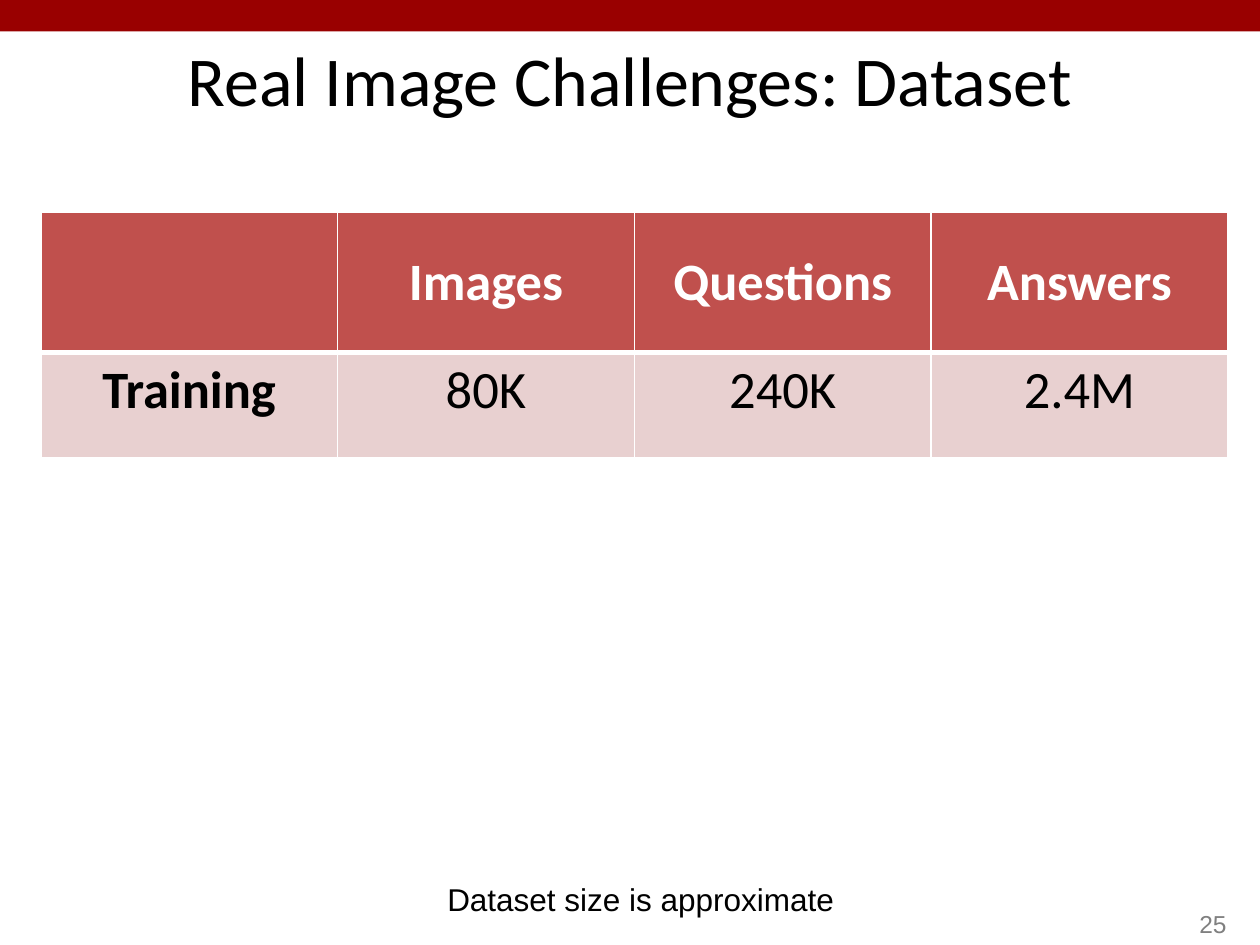
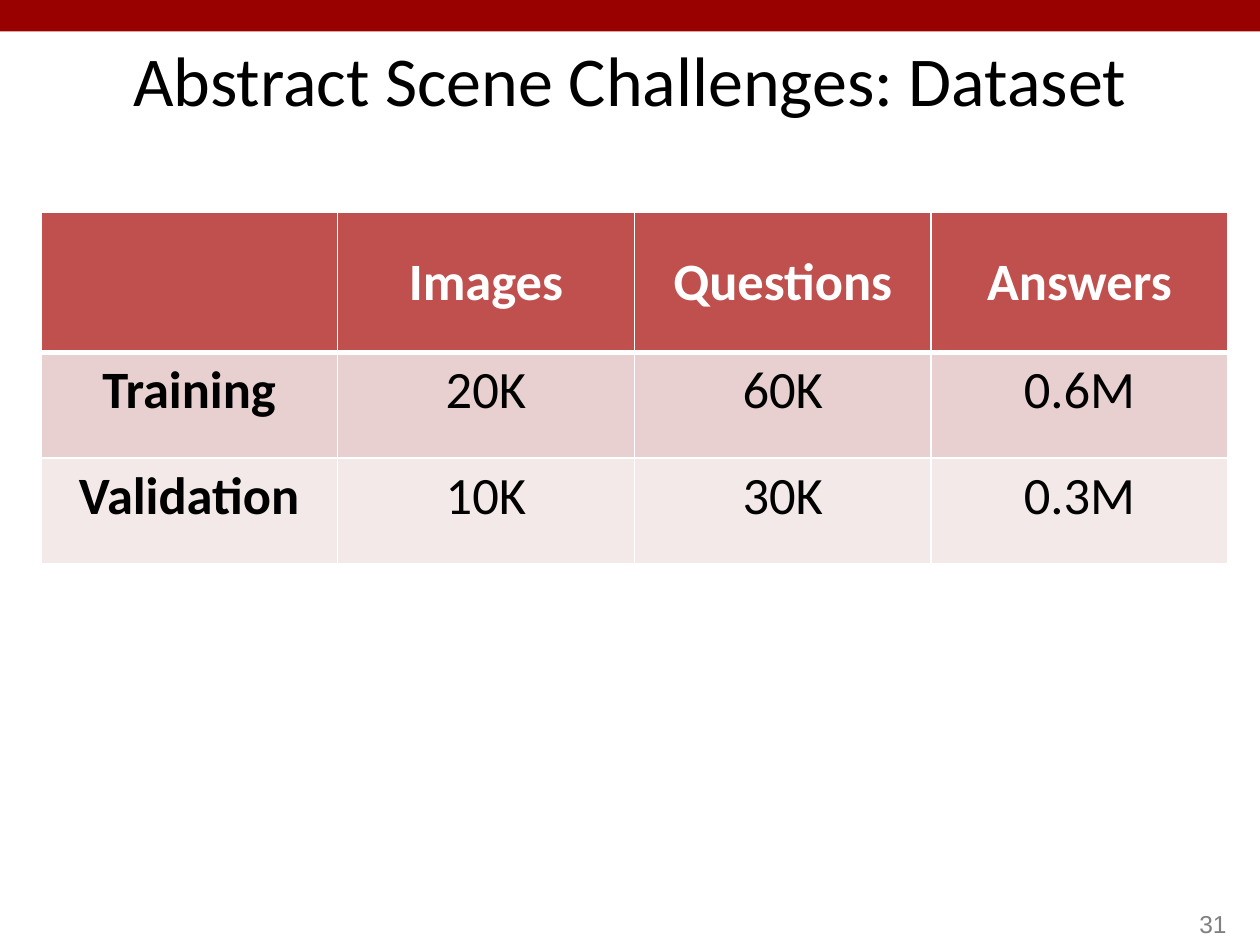
from lxml import etree
from pptx import Presentation
from pptx.dml.color import RGBColor
from pptx.enum.shapes import MSO_SHAPE
from pptx.enum.text import MSO_ANCHOR, PP_ALIGN
from pptx.oxml.ns import qn
from pptx.util import Pt

RECT = MSO_SHAPE.RECTANGLE
TOP, MIDDLE, BOTTOM = MSO_ANCHOR.TOP, MSO_ANCHOR.MIDDLE, MSO_ANCHOR.BOTTOM
LEFT, CENTER, RIGHT = PP_ALIGN.LEFT, PP_ALIGN.CENTER, PP_ALIGN.RIGHT

COLORS = {
    "band": "990000",
    "header": "C0504D",
    "odd_row": "E8D0D0",
    "even_row": "F4E9E9",
    "white": "FFFFFF",
    "black": "000000",
    "number": "808080",
}
HEADING_FONT, BODY_FONT = "Calibri", "Arial"
SLIDE_W, SLIDE_H = 720, 540
COL_W, HEADER_H, ROW_H = 169.6, 80.4, 60.4
COLUMNS = ["", "Images", "Questions", "Answers"]


def rgb(name):
    return RGBColor.from_string(COLORS[name])


def set_text(tf, text, size, font, color="black", align=LEFT, bold=False):
    tf.text = text
    p = tf.paragraphs[0]
    p.alignment = align
    for r in p.runs:
        r.font.size = Pt(size)
        r.font.name = font
        r.font.bold = bold
        r.font.color.rgb = rgb(color)


def place(sp, left, top, width, height):
    sp.left, sp.top, sp.width, sp.height = map(Pt, (left, top, width, height))


def add_titled_slide(prs, title, number):
    s = prs.slides.add_slide(prs.slide_layouts[5])
    band = s.shapes.add_shape(RECT, 0, 0, Pt(SLIDE_W), Pt(18))
    band.shadow.inherit = False
    band.fill.solid()
    band.fill.fore_color.rgb = rgb("band")
    band.line.fill.background()

    place(s.shapes.title, 54, 18, 612, 54)
    tf = s.shapes.title.text_frame
    tf.vertical_anchor = MIDDLE
    set_text(tf, title, 40, HEADING_FONT, align=CENTER)
    add_label(s, str(number), (558, 504, 150, 36), 14, "number", RIGHT, BOTTOM)
    return s


def add_label(s, text, box, size, color="black", align=LEFT, anchor=TOP):
    tf = s.shapes.add_textbox(*map(Pt, box)).text_frame
    tf.word_wrap = True
    tf.vertical_anchor = anchor
    set_text(tf, text, size, BODY_FONT, color, align)


def set_borders(cell, top, bottom):
    tc_pr = cell._tc.get_or_add_tcPr()
    for side, width in (("L", 1), ("R", 1), ("T", top), ("B", bottom)):
        ln = etree.SubElement(tc_pr, qn(f"a:ln{side}"), w=str(Pt(width)))
        fill = etree.SubElement(ln, qn("a:solidFill"))
        etree.SubElement(fill, qn("a:srgbClr"), val=COLORS["white"])


def add_dataset_table(s, body):
    rows = [COLUMNS] + body
    height = HEADER_H + ROW_H * len(body)
    table = s.shapes.add_table(len(rows), len(COLUMNS), Pt(23.3), Pt(121),
                               Pt(COL_W * len(COLUMNS)), Pt(height)).table
    for column in table.columns:
        column.width = Pt(COL_W)
    for i, values in enumerate(rows):
        is_header = i == 0
        table.rows[i].height = Pt(HEADER_H if is_header else ROW_H)
        fill = "header" if is_header else "odd_row" if i % 2 else "even_row"
        for j, value in enumerate(values):
            cell = table.cell(i, j)
            set_borders(cell, 3 if i == 1 else 1, 3 if is_header else 1)
            cell.fill.solid()
            cell.fill.fore_color.rgb = rgb(fill)
            cell.vertical_anchor = MIDDLE if is_header else TOP
            set_text(cell.text_frame, value, 30, HEADING_FONT,
                     "white" if is_header else "black", CENTER,
                     is_header or j == 0)


def main():
    prs = Presentation()
    prs.slide_width, prs.slide_height = Pt(SLIDE_W), Pt(SLIDE_H)

    s = add_titled_slide(prs, "Real Image Challenges: Dataset", 25)
    add_dataset_table(s, [["Training", "80K", "240K", "2.4M"]])
    add_label(s, "Dataset size is approximate", (248.5, 499.5, 238.5, 29), 18)

    s = add_titled_slide(prs, "Abstract Scene Challenges: Dataset", 31)
    add_dataset_table(s, [["Training", "20K", "60K", "0.6M"],
                          ["Validation", "10K", "30K", "0.3M"]])

    prs.save("out.pptx")


if __name__ == "__main__":
    main()
